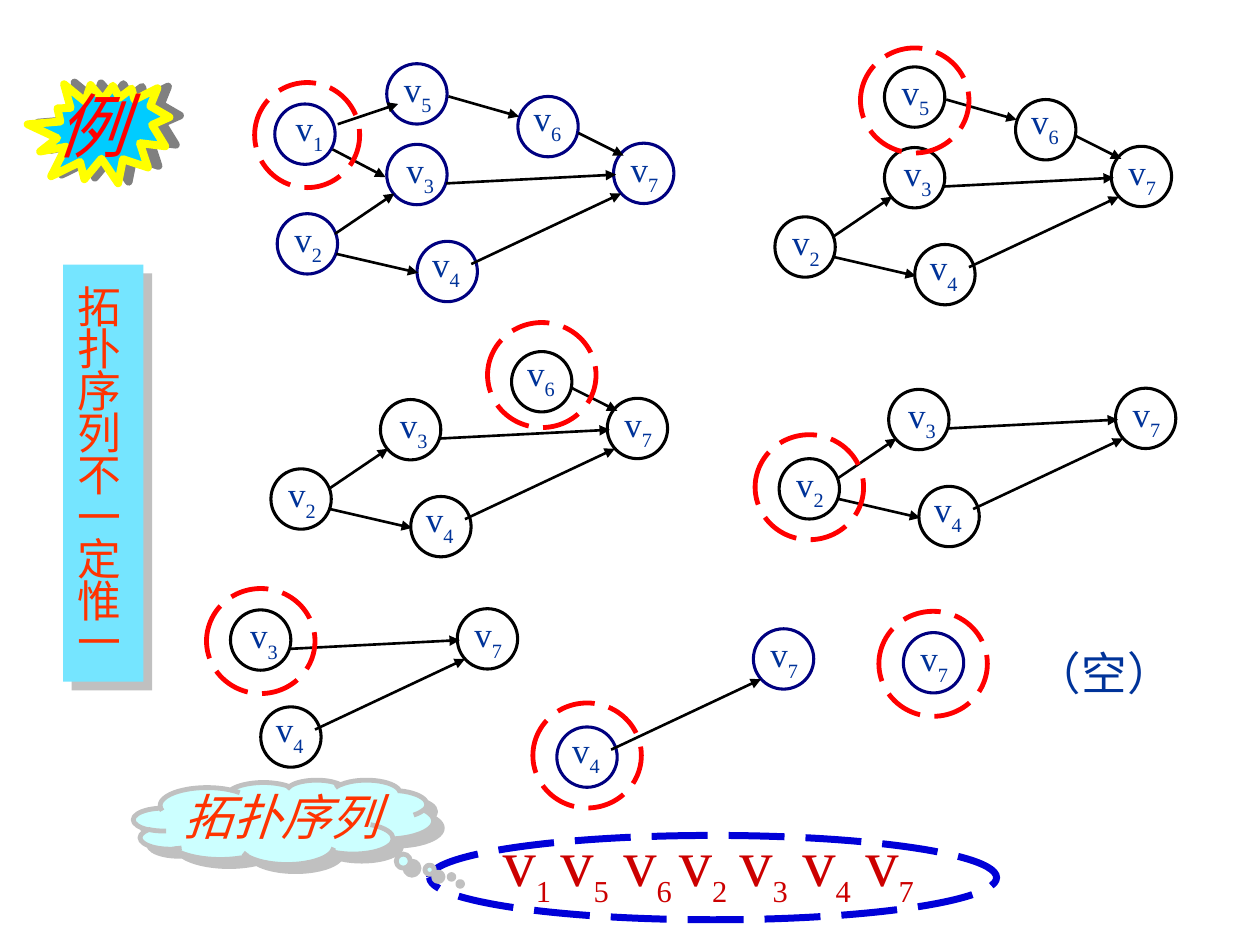
from lxml import etree
from pptx import Presentation
from pptx.dml.color import RGBColor
from pptx.enum.dml import MSO_LINE
from pptx.enum.shapes import MSO_CONNECTOR, MSO_SHAPE
from pptx.enum.text import MSO_ANCHOR, PP_ALIGN
from pptx.oxml.ns import qn
from pptx.util import Pt

OVAL, BURST = MSO_SHAPE.OVAL, MSO_SHAPE.EXPLOSION2
CLOUD, RECTANGLE = MSO_SHAPE.CLOUD_CALLOUT, MSO_SHAPE.RECTANGLE
STRAIGHT, LONG_DASH = MSO_CONNECTOR.STRAIGHT, MSO_LINE.LONG_DASH
LEFT, CENTER = PP_ALIGN.LEFT, PP_ALIGN.CENTER
TOP, MIDDLE = MSO_ANCHOR.TOP, MSO_ANCHOR.MIDDLE

BLACK = RGBColor(0x00, 0x00, 0x00)
WHITE = RGBColor(0xFF, 0xFF, 0xFF)
NAVY = RGBColor(0x00, 0x00, 0x80)
LABEL_BLUE = RGBColor(0x00, 0x33, 0x99)
RING_BLUE = RGBColor(0x00, 0x00, 0xD8)
SKY = RGBColor(0x00, 0xCC, 0xFF)
BANNER_BLUE = RGBColor(0x75, 0xE5, 0xFF)
CLOUD_BLUE = RGBColor(0xCC, 0xFF, 0xFF)
RED = RGBColor(0xFF, 0x00, 0x00)
DARK_RED = RGBColor(0xCC, 0x00, 0x00)
ORANGE = RGBColor(0xFF, 0x33, 0x00)
YELLOW = RGBColor(0xFF, 0xFF, 0x00)
GRAY = RGBColor(0x80, 0x80, 0x80)
SILVER = RGBColor(0xC0, 0xC0, 0xC0)

FONT = "Times New Roman"
NODE_SIZE, LABEL_SIZE = 34.5, 31

# Vertex: position in the graph box, then label offset from the vertex
VERTICES = {
    1: ((-1.4, 23), (4.3, -2.2)),
    2: ((0, 85.7), (2.2, -1.4)),
    3: ((62.6, 46.1), (3.6, -1.4)),
    4: ((79.9, 101.5), (1.1, -2.9)),
    5: ((62.6, 0), (2.2, -1.6)),
    6: ((137.5, 18.7), (1.4, -3.6)),
    7: ((192.2, 45.4), (2.2, -1.2)),
}
EDGES = {
    (2, 3): ((33.1, 97.2), (67, 74.2)),
    (1, 3): ((31.7, 49), (61.9, 64.8)),
    (2, 4): ((33.8, 108.7), (80.6, 119.5)),
    (5, 6): ((97.9, 18.7), (138.2, 30.2)),
    (3, 7): ((96.5, 68.4), (193.7, 63.4)),
    (6, 7): ((172.1, 39.6), (198, 52.6)),
    (4, 7): ((110.9, 114.5), (196.6, 74.2)),
    (1, 5): ((34.6, 34.6), (69.1, 23)),
}
# Graph box corner, vertices left, removed vertex, ring (dx, dy, width), colour
STEPS = [
    ((158.4, 36.4), (1, 4, 3, 2, 6, 5, 7), 1, (-11.5, -12.2, 60), NAVY),
    ((442.8, 38.2), (4, 3, 2, 6, 5, 7), 5, (-13.7, -10.8, 62), BLACK),
    ((154.8, 182.2), (4, 3, 2, 6, 7), 6, (-13.7, -16.6, 62), BLACK),
    ((445.2, 176.4), (4, 3, 2, 7), 2, (-13.7, -13.7, 62), BLACK),
    ((69.1, 302.4), (4, 3, 7), 3, (-13.7, -12.2, 62), BLACK),
    ((238.3, 313.9), (4, 7), 4, (-13.7, -13.7, 62), NAVY),
    ((324, 316.1), (7,), 7, (-14, -12.2, 62), NAVY),
]
SEQUENCE_LEFTS = (280.1, 313.2, 349.2, 380.9, 415.4, 451.4, 487.4)


def append_shadow(effects, color, distance, angle):
    shadow = etree.SubElement(effects, qn("a:outerShdw"), dist=str(Pt(distance)),
                              dir=str(angle * 60000), algn="ctr", rotWithShape="0")
    etree.SubElement(shadow, qn("a:srgbClr"), val=str(color))


def add_shape(slide, kind, box, fill=None, line=None, width=0, dash=None, shadow=None):
    shape = slide.shapes.add_shape(kind, *map(Pt, box))
    shape.shadow.inherit = False
    if shadow:
        append_shadow(shape._element.spPr.find(qn("a:effectLst")), *shadow)
    if fill is None:
        shape.fill.background()
    else:
        shape.fill.solid()
        shape.fill.fore_color.rgb = fill
    if line is None:
        shape.line.fill.background()
    else:
        shape.line.color.rgb = line
        shape.line.width = Pt(width)
        if dash:
            shape.line.dash_style = dash
    return shape


def add_run(paragraph, text, size, color, italic=False, subscript=False, shadowed=False):
    run = paragraph.add_run()
    run.text = text
    for key, value in {"name": FONT, "size": Pt(size), "italic": italic}.items():
        setattr(run.font, key, value)
    run.font.color.rgb = color
    properties = run._r.get_or_add_rPr()
    if subscript:
        properties.set("baseline", "-30000")
    if shadowed:
        effects = etree.Element(qn("a:effectLst"))
        append_shadow(effects, WHITE, 1.5, 45)
        properties.find(qn("a:solidFill")).addnext(effects)


def add_text(slide, box, lines, align=LEFT, anchor=TOP, wrap=False, spacing=None):
    """Each line is a list of runs, given as add_run arguments."""
    frame = slide.shapes.add_textbox(*map(Pt, box)).text_frame
    frame.word_wrap = wrap
    frame.vertical_anchor = anchor
    for index, runs in enumerate(lines):
        paragraph = frame.add_paragraph() if index else frame.paragraphs[0]
        paragraph.alignment = align
        if spacing:
            paragraph.line_spacing = spacing
        for run in runs:
            add_run(paragraph, **run)


def vertex_name(number, size, sub_size, color):
    return [[dict(text="v", size=size, color=color),
             dict(text=str(number), size=sub_size, color=color, subscript=True)]]


def add_arrow(slide, start, end):
    arrow = slide.shapes.add_connector(STRAIGHT, *map(Pt, (*start, *end)))
    arrow.line.color.rgb = BLACK
    arrow.line.width = Pt(1.5)
    etree.SubElement(arrow.line._get_or_add_ln(), qn("a:tailEnd"), type="triangle")
    etree.SubElement(arrow._element.spPr, qn("a:effectLst"))


def add_graph(slide, corner, present, removed, ring, color):
    def place(point, shift=(0, 0)):
        return tuple(sum(parts) for parts in zip(corner, point, shift))

    for number in present:
        position, label_shift = VERTICES[number]
        add_shape(slide, OVAL, (*place(position), NODE_SIZE, NODE_SIZE),
                  line=color, width=1.75)
        add_text(slide, (*place(position, label_shift), LABEL_SIZE, LABEL_SIZE),
                 vertex_name(number, 20, 20, LABEL_BLUE), CENTER)
    for ends, (start, end) in EDGES.items():
        if set(ends) <= set(present):
            add_arrow(slide, place(start), place(end))
    # Dashed ring around the vertex taken out next
    dx, dy, width = ring
    add_shape(slide, OVAL, (*place(VERTICES[removed][0], (dx, dy)), width, 60),
              line=RED, width=2.75, dash=LONG_DASH)


def add_example_badge(slide, left, top):
    burst = add_shape(slide, BURST, (left, top, 77, 70.6), SKY, YELLOW, 4.5,
                      shadow=(GRAY, 6.1, 351))
    burst.rotation = 203.9
    add_text(slide, (left + 7.2, top + 4.3, 80.6, 55.4),
             [[dict(text="例", size=40, color=RED, italic=True, shadowed=True)]],
             anchor=MIDDLE, wrap=True)


def add_banner(slide, left, top):
    add_shape(slide, RECTANGLE, (left, top, 46, 238.3), BANNER_BLUE,
              shadow=(SILVER, 7.1, 45))
    lines = [[dict(text=part, size=25, color=ORANGE, shadowed=True)]
             for part in ("拓", "扑", "序", "列", "不", "一定", "惟", "一")]
    add_text(slide, (left + 1.4, top + 10.8, 40.3, 247), lines, wrap=True, spacing=0.8)


def add_result(slide, left, top):
    # Ring for the sequence, then the cloud that names it
    add_shape(slide, OVAL, (left + 169.2, top + 31.7, 324, 48.2),
              line=RING_BLUE, width=4, dash=LONG_DASH)
    cloud = add_shape(slide, CLOUD, (left, top, 171.4, 48.2), CLOUD_BLUE, SILVER, 2.75,
                      shadow=(SILVER, 6.4, 39))
    cloud.adjustments[0], cloud.adjustments[1] = 0.56, 0.65
    add_text(slide, (left + 21.6, top, 150.5, 41),
             [[dict(text="拓扑序列", size=28, color=ORANGE, italic=True)]],
             anchor=MIDDLE, wrap=True)
    for (_, _, removed, _, _), name_left in zip(STEPS, SEQUENCE_LEFTS):
        add_text(slide, (name_left, top + 19.4, 43.2, 52.6),
                 vertex_name(removed, 38, 30, DARK_RED))


def main():
    deck = Presentation()
    deck.slide_width, deck.slide_height = Pt(720), Pt(540)
    slide = deck.slides.add_slide(deck.slide_layouts[6])
    add_example_badge(slide, 18, 38.9)
    for step in STEPS:
        add_graph(slide, *step)
    # Empty graph at the end
    add_text(slide, (584.6, 365, 92.9, 38.2),
             [[dict(text="（空）", size=26, color=LABEL_BLUE)]], CENTER, MIDDLE)
    add_result(slide, 76.3, 445.7)
    add_banner(slide, 36, 151.2)
    deck.save("out.pptx")


if __name__ == "__main__":
    main()
